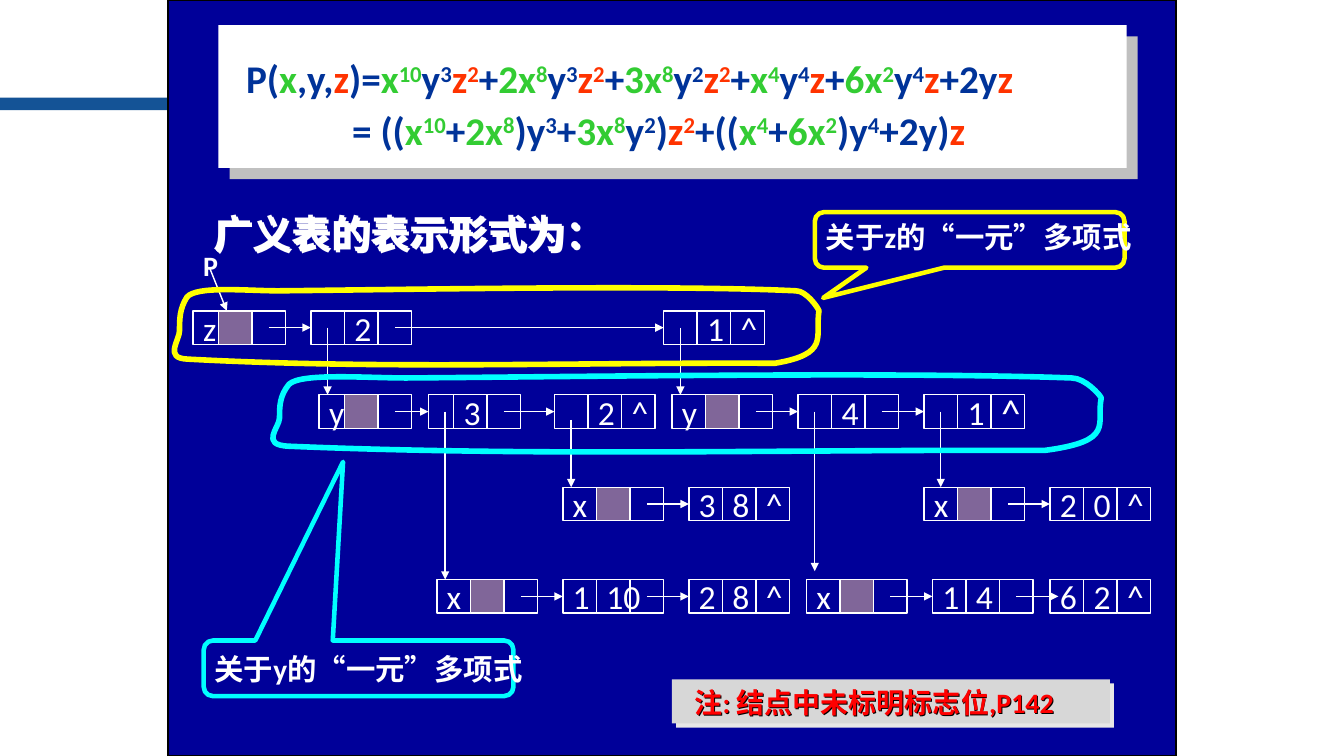
from lxml import etree
from pptx import Presentation
from pptx import util as u
from pptx.dml.color import RGBColor
from pptx.enum import shapes, text
from pptx.oxml.ns import qn

PX = 9525
THEME = {
    "white": "FFFFFF", "navy": "000099", "black": "000000", "bar": "145396",
    "tag": "FFCC99", "blue": "003399", "green": "33CC33", "orange": "FF3300",
    "yellow": "FFFF00", "cyan": "00FFFF", "red": "FF0000", "grey": "D7D7D7",
    "panel_shadow": "C0C0C0", "note_shadow": "E7E6E6",
    "latin": "Calibri", "cjk": "Noto Sans CJK SC",
    "heading": 28, "node": 24, "callout": 21, "note": 20,
}

prs = Presentation()
prs.slide_width, prs.slide_height = 1280 * PX, 720 * PX
slide = prs.slides.add_slide(prs.slide_layouts[6])
canvas = slide.shapes


def box(place, fill=None, line=None, width=1, kind="RECTANGLE", shadow=None):
    lengths = [v * PX for v in place]
    if kind == "TEXT":
        shape = canvas.add_textbox(*lengths)
    else:
        shape = canvas.add_shape(shapes.MSO_SHAPE[kind], *lengths)
    shape.shadow.inherit = False
    if fill:
        shape.fill.solid()
        shape.fill.fore_color.rgb = RGBColor.from_string(THEME[fill])
    else:
        shape.fill.background()
    if line:
        shape.line.color.rgb = RGBColor.from_string(THEME[line])
        shape.line.width = u.Pt(width)
    else:
        shape.line.fill.background()
    if shadow:
        colour, distance = shadow
        effects = shape._element.spPr.find(qn("a:effectLst"))
        outer = etree.SubElement(effects, qn("a:outerShdw"), blurRad="0",
                                 dist=str(u.Pt(distance)), dir="2700000",
                                 algn="ctr", rotWithShape="0")
        etree.SubElement(outer, qn("a:srgbClr"), val=THEME[colour])
    return shape


def write(target, runs, size, bold=True, wrap=True, anchor="TOP", line=0):
    frame = target.text_frame
    frame.word_wrap = wrap
    frame.vertical_anchor = text.MSO_ANCHOR[anchor]
    paragraph = frame.add_paragraph() if line else frame.paragraphs[0]
    paragraph.alignment = text.PP_ALIGN.LEFT
    for words, colour, face, raised in runs:
        run = paragraph.add_run()
        run.text = words
        run.font.size, run.font.bold = u.Pt(size), bold
        run.font.color.rgb = RGBColor.from_string(THEME[colour])
        run.font.name = THEME[face]
        props = run._r.get_or_add_rPr()
        etree.SubElement(props, qn("a:ea"), typeface=THEME["cjk"])
        if raised:
            props.set("baseline", "30000")
    return paragraph


box((0, 93, 357, 12), "bar")
box((160, 0, 960, 720), "navy", "black")

CELL = 32
Z_ROW, Y_ROW, X_UPPER, X_LOWER = 296, 376, 464, 552
chains = [
    (Z_ROW, [(184, 24, ["z", "#", ""]), (296, 32, ["", "2", ""]), (632, 32, ["", "1", "^"])]),
    (Y_ROW, [(304, 24, ["y", "#", ""]), (408, 24, ["", "3", ""]), (528, 32, ["", "2", "^"])]),
    (Y_ROW, [(640, 32, ["y", "#", ""]), (760, 32, ["", "4", ""]), (880, 32, ["", "1", "^"])]),
    (X_UPPER, [(536, 32, ["x", "#", ""]), (656, 32, ["3", "8", "^"])]),
    (X_UPPER, [(880, 32, ["x", "#", ""]), (1000, 32, ["2", "0", "^"])]),
    (X_LOWER, [(416, 32, ["x", "#", ""]), (536, 32, ["1", "10", ""]), (656, 32, ["2", "8", "^"])]),
    (X_LOWER, [(768, 32, ["x", "#", ""]), (888, 32, ["1", "4", ""])]),
    (X_LOWER, [(1000, 32, ["6", "2", "^"])]),
]
links = [
    (200, 256, 216, Z_ROW, None, 0),
    (312, 312, 312, Y_ROW, None, 0),
    (648, 312, 648, Y_ROW, None, 0),
    (544, 400, 544, X_UPPER, None, 0),
    (424, 392, 424, X_LOWER, None, 0),
    (776, 392, 776, 544, None, 0),
    (968, 568, 1008, 568, None, 0),
]
for top, nodes in chains:
    middle = top + CELL // 2
    tail = None
    for left, first_width, contents in nodes:
        x = left
        for index, content in enumerate(contents):
            width = CELL if index else first_width
            cell = box((x, top, width, CELL), "tag" if content == "#" else None, "white")
            if content == "#":
                tint = cell._element.spPr.find(qn("a:solidFill"))[0]
                etree.SubElement(tint, qn("a:alpha"), val="50000")
            elif content:
                size = THEME["heading"] if (left, top, content) == (880, Y_ROW, "^") else THEME["node"]
                write(cell, [(content, "white", "latin", False)], size, False, False, "MIDDLE")
            if index == 0:
                if tail:
                    links.append((tail, middle, left, middle, cell, 1))
                if (left, top) == (880, X_UPPER):
                    links.append((896, 392, 896, top, cell, 0))
            x += width
        tail = x - CELL // 2

for x1, y1, x2, y2, head_cell, side in links:
    arrow = canvas.add_connector(shapes.MSO_CONNECTOR.STRAIGHT, x1 * PX, y1 * PX, x2 * PX, y2 * PX)
    if head_cell:
        arrow.end_connect(head_cell, side)
    arrow.line.color.rgb = RGBColor.from_string(THEME["white"])
    arrow.line.width = u.Pt(1)
    props = arrow._element.spPr
    etree.SubElement(props.find(qn("a:ln")), qn("a:tailEnd"), type="triangle")
    etree.SubElement(props, qn("a:effectLst"))

box((208, 24, 865, 136), "white", shadow=("panel_shadow", 11.3))
polynomial = box((225, 43, 840, 109), kind="TEXT")
equations = [
    "P(|x|,y,|z|)=|x^10|y^3|z^2|+|2x^8|y^3|z^2|+|3x^8|y^2|z^2|+|x^4|y^4|z|+|6x^2|y^4|z|+2y|z",
    "= ((|x^10|+|2x^8|)y^3|+|3x^8|y^2|)|z^2|+((|x^4|+|6x^2|)y^4|+2y)|z",
]
for number, equation in enumerate(equations):
    runs = []
    for term in equation.split("|"):
        colour = "green" if "x" in term else "orange" if "z" in term else "blue"
        for raised, part in enumerate(term.split("^")):
            runs.append((part, colour, "latin", raised))
    paragraph = write(polynomial, runs, THEME["heading"], line=number)
    paragraph.line_spacing = 1.1
    if number:
        paragraph._p.get_or_add_pPr().set("marL", str(101 * PX))

outline_start = (265, 277)
outline_curves = [
    [(375, 276), (636, 271), (758, 277)],
    [(768, 277), (779, 293), (780, 296)],
    [(776, 321), (791, 337), (738, 346)],
    [(552, 345), (363, 352), (178, 342)],
    [(156, 341), (171, 324), (171, 315)],
    [(171, 304), (171, 294), (178, 283)],
    [(187, 272), (235, 277), outline_start],
]
levels = [
    ("z", "yellow", 156, 1, 0, (776, 202, 295, 53), (-0.473, 1.043, 0.167), (777, 204, 344, 43)),
    ("y", "cyan", 247, 1.285, 83, (194, 610, 295, 53), (-0.05, -3.711, 0.167), (195, 615, 344, 43)),
]
for variable, colour, left, stretch, drop, bubble_place, adjustments, words_place in levels:
    points = [outline_start] + [point for curve in outline_curves for point in curve]
    placed = [((left + (x - 156) * stretch) * PX, (y + drop) * PX) for x, y in points]
    builder = canvas.build_freeform(*placed[0])
    builder.add_line_segments(placed[1:], close=True)
    ring = builder.convert_to_shape()
    ring.shadow.inherit = False
    ring.fill.background()
    ring.line.color.rgb = RGBColor.from_string(THEME[colour])
    ring.line.width = u.Pt(4)
    segments = list(ring._element.iter(qn("a:lnTo")))
    for first in range(0, len(segments), 3):
        curve = etree.Element(qn("a:cubicBezTo"))
        segments[first].addprevious(curve)
        for segment in segments[first:first + 3]:
            curve.append(segment[0])
            segment.getparent().remove(segment)

    bubble = box(bubble_place, None, colour, 3.25, "ROUNDED_RECTANGULAR_CALLOUT")
    for index, value in enumerate(adjustments):
        bubble.adjustments[index] = value
    words = ["关于", variable, "的", "“", "一元", "”", "多项式"]
    runs = [(word, "white", "cjk" if word > "\u3000" else "latin", False) for word in words]
    write(box(words_place, kind="TEXT"), runs, THEME["callout"])

box((640, 647, 417, 42), "grey", shadow=("note_shadow", 4.2))
labels = [
    ("P", (184, 232, 40, 42), "white", "note", "TOP", None),
    ("广义表的表示形式为：", (194, 194, 438, 55), "white", "heading", "MIDDLE", ("white", 2)),
    ("注: 结点中未标明标志位,P142", (652, 648, 468, 42), "red", "note", "TOP", ("black", 1)),
]
for words, place, colour, size, anchor, shadow in labels:
    write(box(place, kind="TEXT", shadow=shadow), [(words, colour, "latin", False)],
          THEME[size], anchor=anchor)

prs.save("out.pptx")
